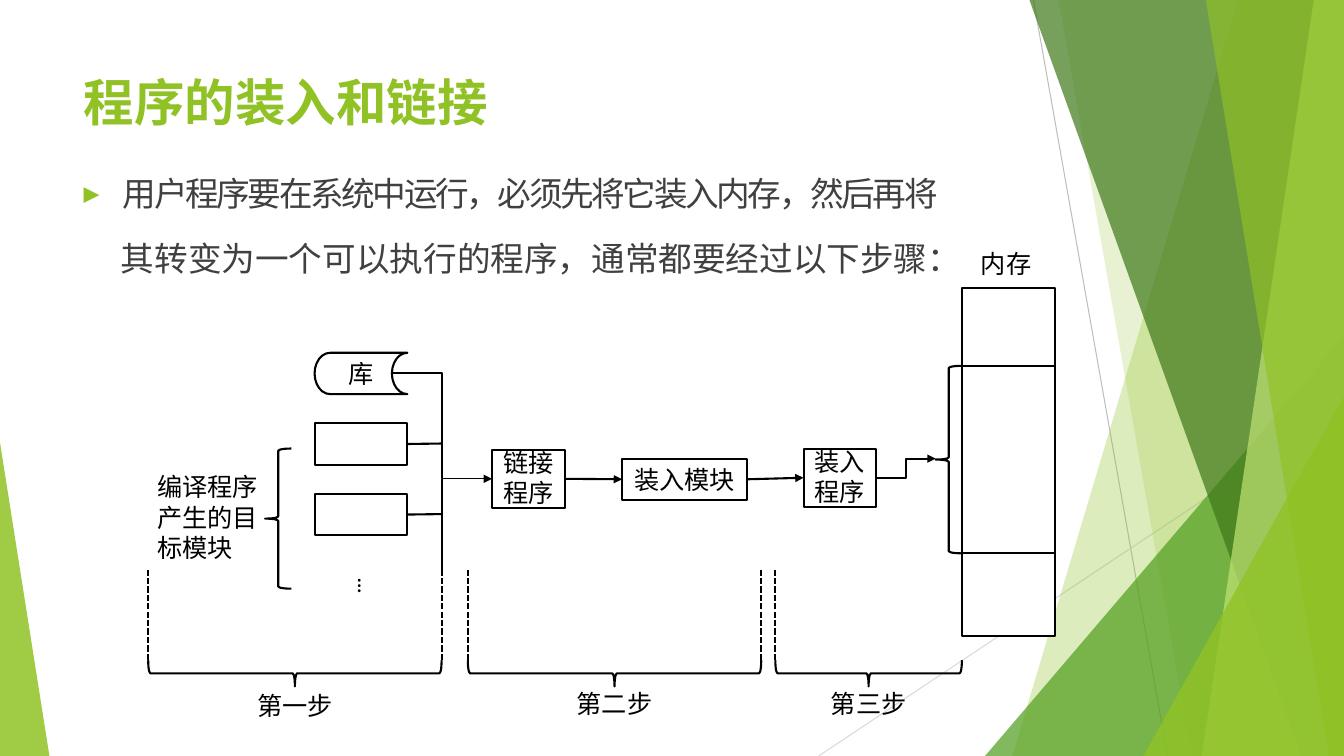
from lxml.etree import SubElement
from pptx import Presentation
from pptx.dml.color import RGBColor
from pptx.enum.dml import MSO_LINE
from pptx.enum.shapes import MSO_CONNECTOR as Link, MSO_SHAPE as Shape
from pptx.enum.text import MSO_ANCHOR as Anchor, PP_ALIGN as Align
from pptx.oxml.ns import qn
from pptx.util import Inches, Pt

COLORS = {
    "black": "000000", "white": "FFFFFF", "text": "404040",
    "green": "90C225", "mid": "539F20", "dark": "3E7818", "lime": "C0E374",
    "grey": "BEBEBE", "pale": "D9D9D9",
}
FONT = "Noto Sans CJK SC"
RIGHT_SIDE, LEFT_SIDE = 3, 1

FACETS = [  # colour, opacity in percent, corners
    ("green", 30, [(13.33, 0), (12.28, 0), (10.04, 7.5), (13.33, 7.5)]),
    ("green", 20, [(13.33, 0), (10.5, 0), (11.82, 7.5), (13.33, 7.5)]),
    ("mid", 72, [(13.33, 3.33), (9.77, 7.5), (13.33, 7.5)]),
    ("dark", 70, [(13.33, 0), (10.21, 0), (12.91, 7.5), (13.33, 7.5)]),
    ("lime", 70, [(13.33, 0), (13.03, 0), (11.92, 7.5), (13.33, 7.5)]),
    ("green", 65, [(13.33, 0), (11.96, 0), (13.18, 7.5), (13.33, 7.5)]),
    ("green", 80, [(13.33, 3.93), (11.34, 7.5), (13.33, 7.5)]),
    ("green", 85, [(0, 4.39), (0, 7.5), (0.49, 7.5)]),
]
STEPS = [  # label, left, right, dashed sides, label top
    ("第一步", 1.47, 4.38, (1.47, 4.38), 6.83),
    ("第二步", 4.64, 7.55, (4.64, 7.55), 6.81),
    ("第三步", 7.69, 9.54, (7.69,), 6.81),
]


def rgb(name):
    return RGBColor.from_string(COLORS[name])


class Painter:
    """Draws styled elements on one page; all lengths are inches."""

    def __init__(self, page):
        self.shapes = page.shapes

    def style(self, para, size, color="black", bold=None, spacing=None, font=FONT):
        face = para.font
        face.size, face.bold, face.name = Pt(size), bold, font
        face.color.rgb = rgb(color)
        props = para._p.pPr.find(qn("a:defRPr"))
        SubElement(props, qn("a:ea")).set("typeface", font)
        if spacing is not None:
            props.set("spc", str(round(spacing * 100)))

    def bullet(self, para, indent):
        props = para._p.get_or_add_pPr()
        props.set("marL", str(Inches(indent)))
        props.set("indent", str(-Inches(indent)))
        tint = SubElement(props, qn("a:buClr"))
        SubElement(tint, qn("a:srgbClr")).set("val", COLORS["green"])
        SubElement(props, qn("a:buSzPct")).set("val", "79000")
        SubElement(props, qn("a:buFont")).set("typeface", "DejaVu Sans Mono")
        SubElement(props, qn("a:buChar")).set("char", "▶")

    def text(self, lines, left, top, width, height, size=18, indent=None,
             align=Align.LEFT, **look):
        box = self.shapes.add_textbox(*map(Inches, (left, top, width, height)))
        frame = box.text_frame
        frame.word_wrap = True
        frame.margin_left = frame.margin_right = frame.margin_bottom = 0
        frame.margin_top = Inches(0.02)
        frame.text = lines
        for para in frame.paragraphs:
            para.alignment = align
            if indent:
                self.bullet(para, indent)
            self.style(para, size, **look)
        return frame

    def vertical_dots(self, left, top, width, height):
        frame = self.text("…", left, top, width, height, font="Roboto")
        frame.margin_top = 0
        frame.paragraphs[0].line_spacing = Pt(21.5)
        frame._txBody.bodyPr.set("vert", "vert")

    def block(self, left, top, width, height, lines="", kind=Shape.RECTANGLE, fill=None):
        """Outlined preset shape with centred text."""
        box = self.shapes.add_shape(kind, *map(Inches, (left, top, width, height)))
        box.shadow.inherit = False
        if fill:
            box.fill.solid()
            box.fill.fore_color.rgb = rgb(fill)
        else:
            box.fill.background()
        box.line.color.rgb, box.line.width = rgb("black"), Pt(1.5)
        if lines:
            frame = box.text_frame
            frame.margin_left = frame.margin_right = 0
            frame.margin_top = frame.margin_bottom = 0
            frame.vertical_anchor = Anchor.MIDDLE
            frame.text = lines
            for para in frame.paragraphs:
                para.alignment = Align.CENTER
                self.style(para, 18)
            if len(frame.paragraphs) > 1:
                frame.paragraphs[0].line_spacing = Pt(19.4)
        return box

    def brace(self, left, top, width, height):
        return self.block(left, top, width, height, kind=Shape.LEFT_BRACE)

    def bottom_brace(self, left, right, top, depth):
        """Brace that opens upwards and points down."""
        span = right - left
        middle, center = (left + right) / 2, top + depth / 2
        self.brace(middle - depth / 2, center - span / 2, depth, span).rotation = 270

    def line(self, start, end, color="black", width=1.5, kind=Link.STRAIGHT,
             arrow=False, dashed=False, begin=None, finish=None):
        """Connector, joined to the right of begin and the left of finish."""
        link = self.shapes.add_connector(kind, *map(Inches, (*start, *end)))
        if begin is not None:
            link.begin_connect(begin, RIGHT_SIDE)
        if finish is not None:
            link.end_connect(finish, LEFT_SIDE)
        link.line.color.rgb, link.line.width = rgb(color), Pt(width)
        if dashed:
            link.line.dash_style = MSO_LINE.SQUARE_DOT
        props = link._element.spPr
        if arrow:
            SubElement(props.find(qn("a:ln")), qn("a:tailEnd")).set("type", "triangle")
        SubElement(props, qn("a:effectLst"))

    def facet(self, color, opacity, corners):
        points = [(Inches(x), Inches(y)) for x, y in corners]
        builder = self.shapes.build_freeform(*points[0])
        builder.add_line_segments(points[1:], close=True)
        shape = builder.convert_to_shape()
        shape.shadow.inherit = False
        shape.fill.solid()
        shape.fill.fore_color.rgb = rgb(color)
        shape.line.fill.background()
        tint = shape._element.spPr.find(".//" + qn("a:srgbClr"))
        SubElement(tint, qn("a:alpha")).set("val", str(opacity * 1000))


def draw_background(painter):
    painter.line((10.25, 0), (11.58, 7.5), "grey", 0.75)
    painter.line((13.33, 4.03), (8.12, 7.5), "pale", 0.75)
    for facet in FACETS:
        painter.facet(*facet)


def draw_heading(painter):
    painter.text("程序的装入和链接", 0.83, 0.69, 4.2, 0.63, 36,
                 color="green", bold=True, spacing=0.1)
    painter.text("用户程序要在系统中运行，必须先将它装入内存，然后再将",
                 0.83, 1.7, 9.07, 0.43, 24, indent=0.39, color="text", spacing=-1.7)
    painter.text("其转变为一个可以执行的程序，通常都要经过以下步骤：",
                 1.2, 2.34, 8.7, 0.43, 24, color="text")


def draw_flow(painter):
    bus = 4.38
    library = painter.block(3.12, 3.5, 0.92, 0.41, "库", Shape.FLOWCHART_STORED_DATA)
    modules = [painter.block(3.12, top, 0.92, 0.41) for top in (4.2, 4.9)]
    linker = painter.block(4.88, 4.46, 0.72, 0.58, "链接\n程序")
    load_module = painter.block(6.17, 4.55, 1.24, 0.41, "装入模块")
    loader = painter.block(7.97, 4.45, 0.72, 0.58, "装入\n程序", fill="white")

    painter.line((3.89, 3.7), (4.88, 4.75), width=1, kind=Link.ELBOW,
                 arrow=True, finish=linker)
    for module, y in zip(modules, (4.4, 5.1)):
        painter.line((4.04, y), (bus, y), begin=module)
    painter.line((bus, 4.75), (bus, 5.65))
    painter.line((5.6, 4.75), (6.17, 4.75), arrow=True, begin=linker, finish=load_module)
    painter.line((7.41, 4.75), (7.97, 4.75), arrow=True, begin=load_module, finish=loader)
    painter.line((8.69, 4.74), (9.28, 4.55), kind=Link.ELBOW, arrow=True, begin=loader)

    painter.text("编译程序\n产生的目\n标模块", 1.56, 4.66, 1.03, 0.93)
    painter.brace(2.63, 4.45, 0.26, 1.39)
    painter.vertical_dots(3.48, 5.73, 0.32, 0.21)


def draw_memory(painter):
    painter.text("内存", 9.73, 2.44, 0.53, 0.33)
    edges = [2.86, 3.63, 5.49, 6.31]
    for top, bottom in zip(edges, edges[1:]):
        painter.block(9.54, top, 0.92, bottom - top, fill="white")
    painter.brace(9.28, 3.63, 0.26, 1.86)


def draw_steps(painter):
    for label, left, right, sides, label_top in STEPS:
        for x in sides:
            painter.line((x, 5.65), (x, 6.55), dashed=True)
        painter.bottom_brace(left, right, 6.55, 0.26)
        painter.text(label, (left + right) / 2 - 0.39, label_top, 0.78, 0.33,
                     align=Align.CENTER)


def main():
    deck = Presentation()
    deck.slide_width, deck.slide_height = Inches(13.33), Inches(7.5)
    painter = Painter(deck.slides.add_slide(deck.slide_layouts[6]))
    for draw in (draw_background, draw_heading, draw_flow, draw_memory, draw_steps):
        draw(painter)
    deck.save("out.pptx")


if __name__ == "__main__":
    main()
